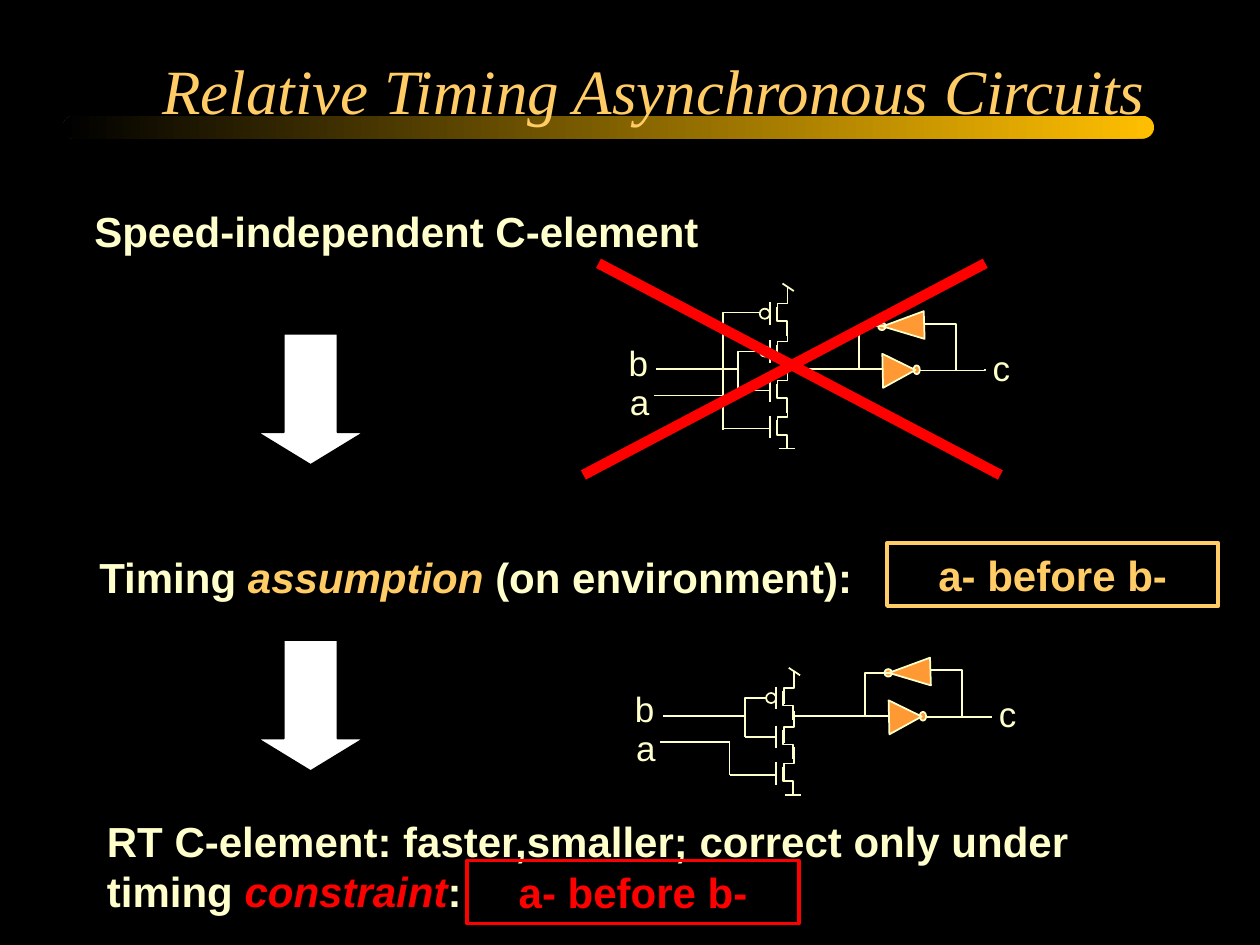
from lxml import etree
from pptx import Presentation
from pptx.dml.color import RGBColor
from pptx.enum.shapes import MSO_CONNECTOR, MSO_SHAPE
from pptx.enum.text import MSO_ANCHOR, MSO_AUTO_SIZE, PP_ALIGN
from pptx.oxml.ns import qn
from pptx.util import Inches, Pt

STRAIGHT, ELBOW = MSO_CONNECTOR.STRAIGHT, MSO_CONNECTOR.ELBOW
RECT, ROUND_RECT = MSO_SHAPE.RECTANGLE, MSO_SHAPE.ROUNDED_RECTANGLE
OVAL, TRIANGLE, DOWN = MSO_SHAPE.OVAL, MSO_SHAPE.ISOSCELES_TRIANGLE, MSO_SHAPE.DOWN_ARROW
LEFT, CENTER, RIGHT = PP_ALIGN.LEFT, PP_ALIGN.CENTER, PP_ALIGN.RIGHT
TOP, MIDDLE = MSO_ANCHOR.TOP, MSO_ANCHOR.MIDDLE
FIT, NO_FIT = MSO_AUTO_SIZE.SHAPE_TO_FIT_TEXT, MSO_AUTO_SIZE.NONE
BLACK, WHITE, CREAM, AMBER = "000000", "FFFFFF", "FFFFCC", "FFCC66"
ORANGE, GOLD, RED = "FF9933", "FFBF00", "FF0000"


def rgb(value):
    return RGBColor.from_string(value)


class Slide:
    """Holds the style, the current slide and the drawing origin."""

    def __init__(self, prs):
        self.s = prs.slides.add_slide(prs.slide_layouts[5])
        self.s.background.fill.solid()
        self.s.background.fill.fore_color.rgb = rgb(BLACK)
        self.dx = self.dy = 0

    def place(self, x, y):
        return Inches(x + self.dx), Inches(y + self.dy)

    def fill_text(self, tf, runs, size=24, bold=True, align=LEFT, font="Arial", italic=False):
        p = tf.paragraphs[0]
        p.alignment = align
        p.font.name, p.font.size = font, Pt(size)
        p.font.bold = bold
        if len(runs) == 1:
            p.font.italic = italic
            p.font.color.rgb = rgb(runs[0][1])
        for text, color in runs:
            r = p.add_run()
            r.text = text
            if len(runs) > 1:
                r.font.color.rgb = rgb(color)
                r.font.italic = color != CREAM

    def title(self, text):
        sp = self.s.shapes.title
        sp.left, sp.top, sp.width, sp.height = map(Inches, (0.69, 0.04, 8.5, 1.33))
        tf = sp.text_frame
        tf.auto_size, tf.vertical_anchor = NO_FIT, MIDDLE
        self.fill_text(tf, [(text, AMBER)], 36, False, RIGHT, "Times New Roman", True)
        self.s.shapes.element.append(sp.element)

    def text(self, x, y, w, h, runs, wrap=True, **style):
        tf = self.s.shapes.add_textbox(*self.place(x, y), Inches(w), Inches(h)).text_frame
        tf.word_wrap, tf.auto_size = wrap, FIT
        self.fill_text(tf, runs, **style)

    def shape(self, kind, x, y, w, h, fill=None, line=CREAM, weight=1, rotation=0):
        sp = self.s.shapes.add_shape(kind, *self.place(x, y), Inches(w), Inches(h))
        sp.shadow.inherit = False
        sp.rotation = rotation
        if fill:
            sp.fill.solid()
            sp.fill.fore_color.rgb = rgb(fill)
        else:
            sp.fill.background()
        if line:
            sp.line.color.rgb = rgb(line)
            sp.line.width = Pt(weight)
        else:
            sp.line.fill.background()
        return sp

    def band(self):
        sp = self.shape(ROUND_RECT, 0.5, 0.92, 8.66, 0.18, line=None)
        sp.adjustments[0] = 0.5
        sp.fill.gradient()
        sp.fill.gradient_angle = 180
        for stop, color in zip(sp.fill.gradient_stops, (GOLD, BLACK)):
            stop.color.rgb = rgb(color)

    def arrow(self, y):
        sp = self.shape(DOWN, 2.04, y, 0.85, 1.04, WHITE, BLACK)
        sp.adjustments[1] = 0.305

    def box(self, x, y, text, color):
        tf = self.shape(RECT, x, y, 2.63, 0.5, line=color, weight=2.25).text_frame
        tf.word_wrap, tf.vertical_anchor = True, TOP
        self.fill_text(tf, [(text, color)], align=CENTER)

    def line(self, x1, y1, x2, y2, color=CREAM, weight=1, kind=STRAIGHT):
        c = self.s.shapes.add_connector(kind, *self.place(x1, y1), *self.place(x2, y2))
        c.line.color.rgb = rgb(color)
        c.line.width = Pt(weight)
        etree.SubElement(c.element.spPr, qn("a:effectLst"))
        return c

    def elbow(self, x, y, w, h, rotation=0, flip=None, bends=3, adjust=()):
        spPr = self.line(x, y, x + w, y + h, kind=ELBOW).element.spPr
        xfrm, geom = spPr.find(qn("a:xfrm")), spPr.find(qn("a:prstGeom"))
        xfrm.set("rot", str(rotation * 60000))
        if flip:
            xfrm.set(flip, "1")
        geom.set("prst", f"bentConnector{bends}")
        for i, value in enumerate(adjust, 1):
            etree.SubElement(geom.find(qn("a:avLst")), qn("a:gd"),
                             name=f"adj{i}", fmla=f"val {round(value * 100000)}")

    def transistor(self, y, inverted):
        self.elbow(6.08, y + 0.09, 0.26, 0.08, 90)
        self.elbow(6.09, y + 0.23, 0.23, 0.08, 270, "flipH")
        self.line(6.11, y + 0.12, 6.11, y + 0.3)
        if inverted:
            self.shape(OVAL, 6.03, y + 0.17, 0.08, 0.08)

    def inverters(self):
        self.shape(OVAL, 6.97, 2.56, 0.06, 0.06, ORANGE, rotation=268.2)
        self.shape(TRIANGLE, 7.06, 2.42, 0.22, 0.33, ORANGE, rotation=268.2)
        self.shape(OVAL, 7.24, 2.91, 0.07, 0.05, ORANGE, rotation=88.6)
        self.shape(TRIANGLE, 7, 2.81, 0.27, 0.26, ORANGE, rotation=88.6)
        self.elbow(6.62, 2.59, 0.39, 0.34, 180, "flipV")
        self.elbow(7.33, 2.57, 0.49, 0.36, bends=4, adjust=(0.52, 1.03))

    def circuit(self, transistors, dx=0, dy=0):
        self.dx, self.dy = dx, dy
        self.inverters()
        for y, inverted in transistors:
            self.transistor(y, inverted)
        top = transistors[0][0]
        self.elbow(5.86, 2.79, 0.17, 0.31, 180, "flipV", 2)
        for wire in ((6.21, top - 0.03, 6.3, top + 0.03), (6.18, 3.56, 6.31, 3.56),
                     (6.25, 2.93, 7, 2.93), (7.29, 2.94, 7.82, 2.94),
                     (5.86, 3.1, 6.11, 3.1), (5.74, 3.4, 6.11, 3.4),
                     (5.86, 2.93, 5.21, 2.93), (5.74, 3.14, 5.19, 3.14)):
            self.line(*wire)
        for name, x, y in (("a", 4.9, 2.97), ("b", 4.89, 2.66), ("c", 7.78, 2.7)):
            self.text(x, y, 0.35, 0.44, [(name, CREAM)], False, size=20, bold=False)
        if len(transistors) == 4:
            self.elbow(5.74, 2.48, 0.29, 0.93, 180, "flipV", 2)
        else:
            self.line(5.74, 3.15, 5.74, 3.4)
        self.dx = self.dy = 0


def main():
    prs = Presentation()
    prs.slide_width, prs.slide_height = Inches(10), Inches(7.5)
    slide = Slide(prs)
    slide.band()
    slide.title("Relative Timing Asynchronous Circuits")

    slide.text(0.65, 1.58, 8.29, 0.5, [("Speed-independent C-element", CREAM)])
    slide.arrow(2.65)
    transistors = [(2.28, True), (2.58, True), (2.89, False), (3.18, False)]
    slide.circuit(transistors)
    slide.line(7.82, 2.09, 4.63, 3.77, RED, 6)
    slide.line(4.75, 2.09, 7.94, 3.77, RED, 6)

    slide.text(0.69, 4.33, 8.29, 0.5, [("Timing ", CREAM), ("assumption", AMBER),
                                       (" (on environment):", CREAM)])
    slide.box(7.04, 4.31, "a- before b-", AMBER)
    slide.arrow(5.08)
    slide.circuit(transistors[1:], 0.05, 2.75)

    slide.text(0.75, 6.42, 8.29, 0.9, [
        ("RT C-element: faster,smaller; correct only under timing ", CREAM),
        ("constraint", RED), (":", CREAM)])
    slide.box(3.71, 6.83, "a- before b-", RED)
    prs.save("out.pptx")


if __name__ == "__main__":
    main()
